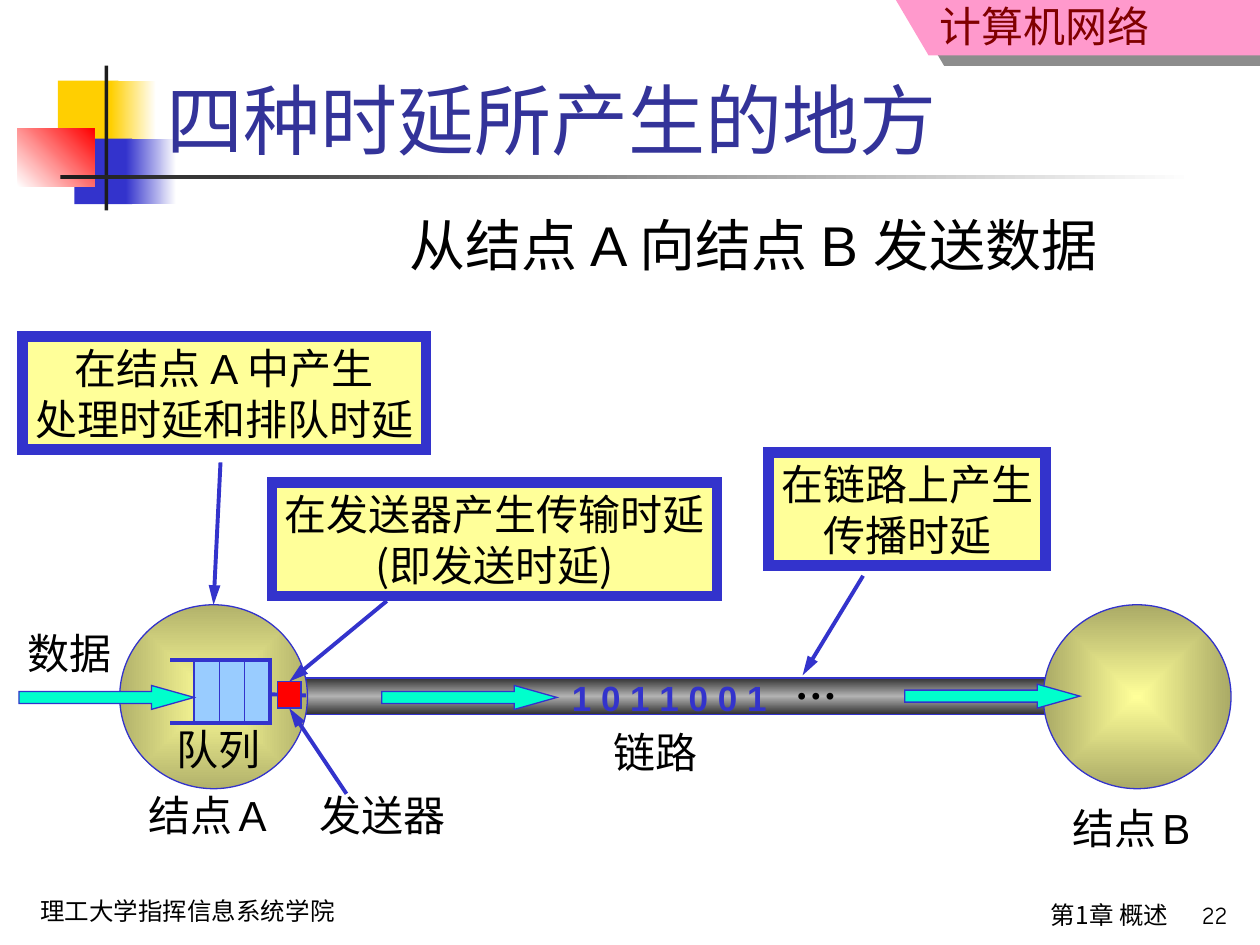
from pptx import Presentation
from pptx.dml.color import RGBColor
from pptx.enum.shapes import MSO_CONNECTOR, MSO_SHAPE
from pptx.enum.text import MSO_ANCHOR, MSO_AUTO_SIZE, PP_ALIGN
from pptx.oxml import parse_xml
from pptx.oxml.ns import nsdecls, qn
from pptx.util import Inches, Pt

BLUE, YELLOW, BLACK, DARK = "3333CC", "FFFF99", "000000", "1C1C1C"
CJK, SERIF, SANS, COMIC = "Noto Sans CJK SC", "Times New Roman", "Arial", "Comic Neue"


def rgb(color):
    return RGBColor.from_string(color)


def drawing(xml):
    tag = xml.split()[0].split(">")[0].rstrip("/")
    return parse_xml(xml.replace(tag, f"{tag} {nsdecls('a')}", 1))


def inches(*lengths):
    return [Inches(length) for length in lengths]


# Fills and outlines
def fill_gradient(shape, colors, angle=None):
    """Linear at the given angle, or from the centre outwards without one."""
    step = 100000 // (len(colors) - 1)
    stops = "".join(f'<a:gs pos="{i * step}"><a:srgbClr val="{color}"/></a:gs>'
                    for i, color in enumerate(colors))
    if angle is None:
        way = ('<a:path path="rect"><a:fillToRect l="50000" t="50000" '
               'r="50000" b="50000"/></a:path>')
    else:
        way = f'<a:lin ang="{angle * 60000}" scaled="0"/>'
    shape.fill.background()
    no_fill = shape._element.spPr.find(qn("a:noFill"))
    no_fill.getparent().replace(
        no_fill, drawing(f"<a:gradFill><a:gsLst>{stops}</a:gsLst>{way}</a:gradFill>"))


def paint(shape, fill=None, line=None, angle=None):
    shape.shadow.inherit = False
    if fill is None:
        shape.fill.background()
    elif isinstance(fill, list):
        fill_gradient(shape, fill, angle)
    else:
        shape.fill.solid()
        shape.fill.fore_color.rgb = rgb(fill)
    if line is None:
        shape.line.fill.background()
    else:
        shape.line.color.rgb = rgb(BLUE)
        shape.line.width = Pt(line)
        shape.line._get_or_add_ln().append(drawing('<a:miter lim="800000"/>'))
    return shape


# Kinds of element
def add_block(slide, box, fill, line=None, angle=None, kind=MSO_SHAPE.RECTANGLE):
    return paint(slide.shapes.add_shape(kind, *inches(*box)), fill, line, angle)


def add_outline(slide, points, fill=None, line=None, close=False):
    start, *others = [tuple(inches(*point)) for point in points]
    builder = slide.shapes.build_freeform(*start)
    builder.add_line_segments(others, close=close)
    return paint(builder.convert_to_shape(), fill, line)


def add_line(slide, start, end, width, arrow=False, target=None, side=0):
    connector = slide.shapes.add_connector(MSO_CONNECTOR.STRAIGHT, *inches(*start, *end))
    if target is not None:
        connector.end_connect(target, side)
    connector.line.color.rgb = rgb(BLUE)
    connector.line.width = Pt(width)
    if arrow:
        connector.line._get_or_add_ln().append(
            drawing('<a:tailEnd type="triangle" len="lg"/>'))
    connector._element.spPr.append(drawing("<a:effectLst/>"))


def add_run(paragraph, text, size, font, color=BLACK, bold=False):
    run = paragraph.add_run()
    run.text = text
    run.font.size = Pt(size)
    run.font.name = font
    run.font.bold = bold
    run.font.color.rgb = rgb(color)
    run.font._element.find(qn("a:latin")).addnext(drawing(f'<a:ea typeface="{CJK}"/>'))


def add_text(slide, box, runs, align=PP_ALIGN.LEFT, wrap=False, top=0.05):
    frame = slide.shapes.add_textbox(*inches(*box)).text_frame
    frame.word_wrap = wrap
    if not wrap:
        frame.auto_size = MSO_AUTO_SIZE.SHAPE_TO_FIT_TEXT
    frame.margin_top = Inches(top)
    frame.paragraphs[0].alignment = align
    for run in runs:
        add_run(frame.paragraphs[0], *run)


def add_callout(slide, box, lines):
    frame = add_block(slide, box, YELLOW, line=6).text_frame
    frame.word_wrap = False
    for i, runs in enumerate(lines):
        paragraph = frame.add_paragraph() if i else frame.paragraphs[0]
        paragraph.alignment = PP_ALIGN.CENTER
        for text, font in runs:
            add_run(paragraph, text, 24, font)


# Parts of the slide
def add_decoration(slide):
    for box, fill, angle in [
        ((0.46, 0.64, 0.48, 0.52), "FFCF01", None),
        ((0.88, 0.64, 0.36, 0.52), ["FFCF01", "FFFFFF"], 0),
        ((0.59, 1.1, 0.46, 0.52), BLUE, None),
        ((1, 1.1, 0.4, 0.52), [BLUE, "FFFFFF"], 0),
        ((0.14, 1.02, 0.61, 0.46), ["FFFFFF", "FF0000"], 315),
        ((0.83, 0.52, 0.03, 1.15), DARK, None),
        ((0.48, 1.39, 9, 0.03), [DARK, "FFFFFF"], 0),
    ]:
        add_block(slide, box, fill, angle=angle)

    # Course banner with its hard shadow
    banner = add_outline(slide, [(7.11, 0), (7.37, 0.44), (10, 0.44), (10, 0)],
                         "FF99CC", close=True)
    banner._element.spPr.find(qn("a:effectLst")).append(drawing(
        f'<a:outerShdw blurRad="0" dist="{Pt(10.8)}" dir="{34 * 60000}" rotWithShape="0">'
        f'<a:srgbClr val="{DARK}"><a:alpha val="50000"/></a:srgbClr></a:outerShdw>'))
    add_text(slide, (5.69, 0, 3.53, 0.45), [("计算机网络", 24, CJK, "800000")],
             PP_ALIGN.RIGHT, wrap=True, top=0)


def add_footer(slide):
    for box, text, font, align in [
        ((0.22, 7.06, 3.11, 0.34), "理工大学指挥信息系统学院", COMIC, PP_ALIGN.LEFT),
        ((4.29, 7.09, 5.08, 0.41), "第1章 概述", CJK, PP_ALIGN.RIGHT),
        ((9.05, 7.09, 0.79, 0.38), "22", COMIC, PP_ALIGN.RIGHT),
    ]:
        add_text(slide, box, [(text, 14, font)], align, wrap=True)


def add_title(slide):
    title = slide.shapes.title
    title.left, title.top, title.width, title.height = inches(1.22, 0.52, 7.84, 0.84)
    title.text_frame.vertical_anchor = MSO_ANCHOR.BOTTOM
    title.text_frame.paragraphs[0].alignment = PP_ALIGN.LEFT
    add_run(title.text_frame.paragraphs[0], "四种时延所产生的地方", 44, SANS, "333399")
    # Bring the title in front of the decoration
    title._element.getparent().append(title._element)


def add_network(slide):
    """Link, both nodes, queue and sender; returns node A and the sender."""
    add_block(slide, (2.34, 5.38, 6.04, 0.29), ["313131", "B2B2B2", "313131"], 0.75, 90)
    node_a, _ = [
        add_block(slide, (left, 4.8, 1.49, 1.46), [YELLOW, edge], 0.75, kind=MSO_SHAPE.OVAL)
        for left, edge in [(0.95, "B2B26B"), (8.28, "AAAA66")]]

    # Queue, open on the left
    top, bottom = 5.24, 5.74
    add_block(slide, (1.54, top, 0.59, bottom - top), "99CCFF", 0.75)
    add_outline(slide, [(1.35, top), (2.14, top), (2.14, bottom), (1.35, bottom)], line=2.25)
    for i in range(3):
        x = 1.54 + 0.2 * i
        add_line(slide, (x, top), (x, bottom), 0.75)

    add_line(slide, (2.13, 5.51), (2.43, 5.52), 2.25)
    sender = add_block(slide, (2.2, 5.41, 0.19, 0.21), "FF0000", 0.75)

    # Data flow
    for left, y in [(3.03, 5.44), (0.15, 5.44), (7.18, 5.43)]:
        flow = add_block(slide, (left, y, 1.39, 0.19), "00FFCC", 0.75,
                         kind=MSO_SHAPE.RIGHT_ARROW)
        flow.adjustments[1] = 1.78
    return node_a, sender


def add_labels(slide):
    add_text(slide, (3.15, 1.62, 6.11, 0.64), [("从结点 A 向结点 B 发送数据", 32, SANS)])
    add_text(slide, (4.44, 5.32, 1.75, 0.44), [("1 0 1 1 0 0 1", 20, SANS, BLUE, True)])
    add_text(slide, (6.21, 5.17, 0.53, 0.5), [("…", 24, SERIF, BLACK, True)])
    for left, top, width, text in [
        (2.44, 6.22, 1.2, "发送器"), (1.3, 5.69, 0.87, "队列"),
        (0.12, 4.93, 0.87, "数据"), (4.77, 5.72, 0.87, "链路"),
    ]:
        add_text(slide, (left, top, width, 0.5), [(text, 24, SERIF)])
    for left, top, letter in [(1.08, 6.22, "A"), (8.41, 6.32, "B")]:
        add_text(slide, (left, top, 1.19, 0.5),
                 [("结点", 24, SERIF), (" ", 16, SANS), (letter, 24, SANS)])


def add_delays(slide, node_a, sender):
    add_callout(slide, (6.1, 3.59, 2.2, 0.9), [[("在链路上产生", CJK)], [("传播时延", CJK)]])
    add_callout(slide, (2.16, 3.83, 3.53, 0.9),
                [[("在发送器产生传输时延", CJK)], [("(即发送时延)", CJK)]])
    add_callout(slide, (0.18, 2.67, 3.2, 0.9),
                [[("在结点 ", CJK), ("A ", SANS), ("中产生", CJK)], [("处理时延和排队时延", CJK)]])
    for start, end, target, side in [
        ((6.85, 4.57), (6.37, 5.36), None, 0),
        ((3.07, 4.77), (2.28, 5.44), sender, 0),
        ((2.75, 6.3), (2.28, 5.59), sender, 2),
        ((1.75, 3.67), (1.69, 4.77), node_a, 0),
    ]:
        add_line(slide, start, end, 2.25, True, target, side)


def main():
    deck = Presentation()
    deck.slide_width, deck.slide_height = inches(10, 7.5)
    slide = deck.slides.add_slide(deck.slide_layouts[5])
    add_decoration(slide)
    add_footer(slide)
    add_title(slide)
    node_a, sender = add_network(slide)
    add_labels(slide)
    add_delays(slide, node_a, sender)
    deck.save("out.pptx")


if __name__ == "__main__":
    main()
